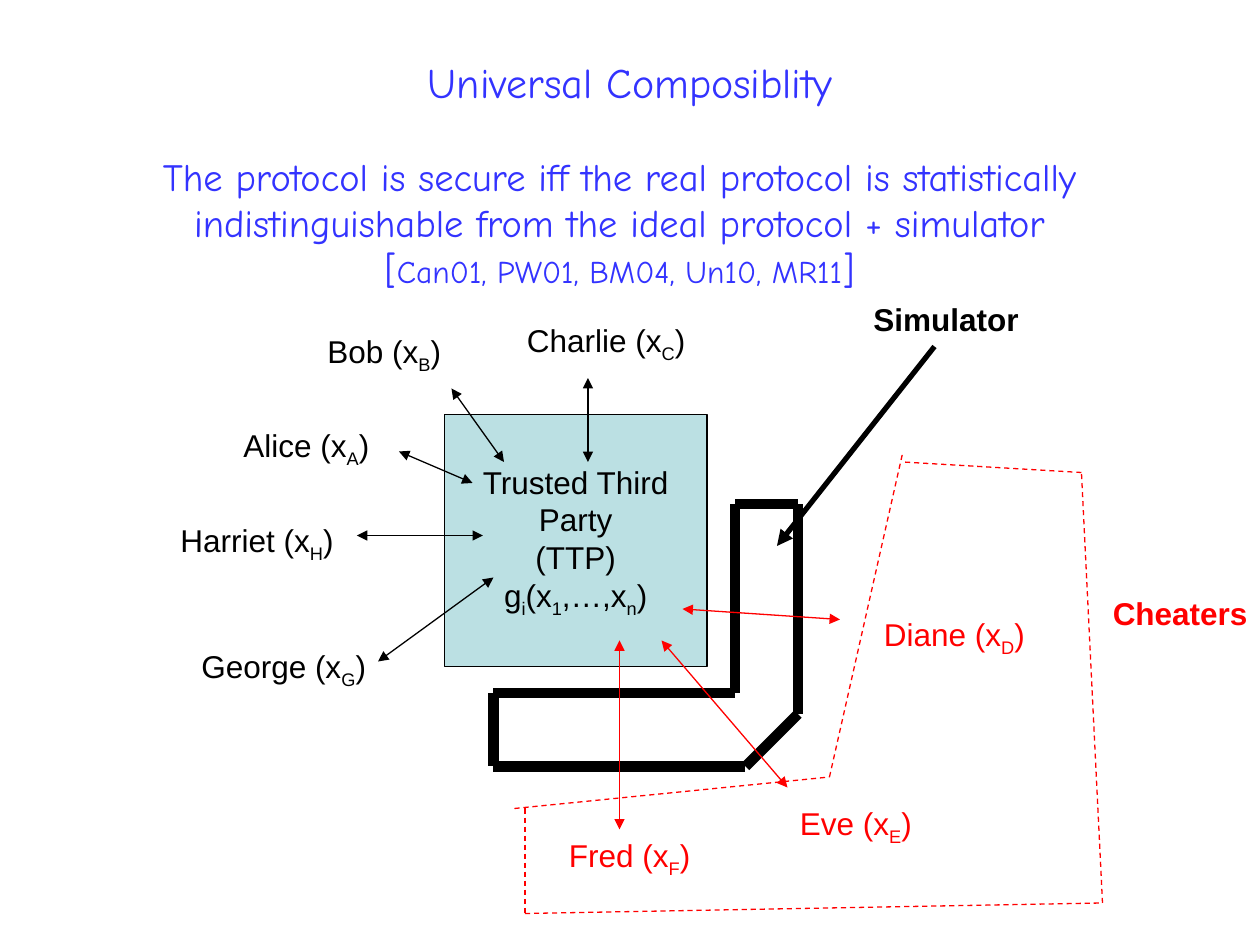
from itertools import pairwise
from pptx import Presentation
from pptx.dml.color import RGBColor
from pptx.enum.dml import MSO_LINE as Dash
from pptx.enum.shapes import MSO_CONNECTOR as Link, MSO_SHAPE as Shape
from pptx.enum.text import MSO_ANCHOR as Anchor, PP_ALIGN as Align
from pptx.oxml.ns import qn
from pptx.util import Cm, Pt
from lxml.etree import SubElement as sub

BLACK = RGBColor(0x00, 0x00, 0x00)
RED = RGBColor(0xFF, 0x00, 0x00)
BLUE = RGBColor(0x33, 0x33, 0xFF)
TEAL = RGBColor(0xBB, 0xE0, 0xE3)
STEP = 2.54 / 12
COMIC = "Comic Neue"

PARTIES = [
    ("Alice (x_A)", (22, 40, 16), BLACK, (38, 43), (45, 46)),
    ("Harriet (x_H)", (16, 49, 19), BLACK, (34, 51), (46, 51)),
    ("Charlie (x_C)", (49, 30, 20), BLACK, (56, 36), (56, 44)),
    ("George (x_G)", (18, 61, 19), BLACK, (36, 63), (47, 55)),
    ("Bob (x_B)", (30, 31, 16), BLACK, (43, 37), (48, 44)),
    ("Fred (x_F)", (53, 79, 16), RED, (59, 79), (59, 61)),
    ("Diane (x_D)", (83, 58, 18), RED, (80, 59), (65, 58)),
    ("Eve (x_E)", (75, 76, 16), RED, (75, 75), (63, 61)),
]
SIM = [(47, 73), (71, 73), (76, 68), (76, 48), (70, 48), (70, 66), (47, 66), (47, 73)]
FENCES = [
    [(50, 77), (50, 87), (105, 86), (103, 45), (86, 44)],
    [(49, 77), (79, 74), (86, 43)],
]


def grid(*nums):
    """Turn steps of a twelfth of an inch into lengths."""
    return [Cm(STEP * num) for num in nums]


def write(para, text, size=18, color=BLACK, font="Arial", bold=False, align=Align.LEFT):
    """Add text to a paragraph, lowering each letter that follows an underscore."""
    para.alignment = align
    head, *rest = text.split("_")
    parts = [(head, False)]
    for part in rest:
        parts += [(part[0], True), (part[1:], False)]
    for part, low in parts:
        run = para.add_run()
        run.text = part
        run.font.size = Pt(size)
        run.font.name = font
        run.font.bold = bold
        run.font.color.rgb = color
        if low:
            run.font._element.set("baseline", "-25000")


def label(slide, place, text, high=5, **form):
    """Add a wrapped text box and return its paragraph."""
    left, top, wide = place
    frame = slide.shapes.add_textbox(*grid(left, top, wide, high)).text_frame
    frame.word_wrap = True
    write(frame.paragraphs[0], text, **form)
    return frame.paragraphs[0]


def stroke(slide, start, end, color=BLACK, width=0.75, dash=None, heads=()):
    """Draw a straight line with optional dashes and arrowheads."""
    wire = slide.shapes.add_connector(Link.STRAIGHT, *grid(*start, *end))
    wire.line.color.rgb = color
    wire.line.width = Pt(width)
    if dash:
        wire.line.dash_style = dash
    for head in heads:
        sub(wire.line._get_or_add_ln(), qn(f"a:{head}"), type="triangle")
    sub(wire._element.spPr, qn("a:effectLst"))


def chain(slide, points, **form):
    """Draw lines from each point to the next."""
    for start, end in pairwise(points):
        stroke(slide, start, end, **form)


def title(slide, text):
    """Place and fill the title."""
    shape = slide.shapes.title
    shape.left, shape.top, shape.width, shape.height = grid(6, 3.6, 108, 8.4)
    shape.text_frame.vertical_anchor = Anchor.MIDDLE
    write(shape.text_frame.paragraphs[0], text, size=24, color=BLUE, font=COMIC, align=Align.CENTER)


def trust(slide, lines):
    """Draw the box of the trusted third party."""
    box = slide.shapes.add_shape(Shape.RECTANGLE, *grid(42.33, 39.5, 25, 24))
    box.shadow.inherit = False
    box.fill.solid()
    box.fill.fore_color.rgb = TEAL
    box.line.color.rgb = BLACK
    box.line.width = Pt(0.75)
    frame = box.text_frame
    frame.word_wrap = False
    frame.vertical_anchor = Anchor.MIDDLE
    for num, text in enumerate(lines):
        para = frame.add_paragraph() if num else frame.paragraphs[0]
        write(para, text, align=Align.CENTER)


def main():
    """Build and save the slide."""
    deck = Presentation()
    deck.slide_width, deck.slide_height = Cm(25.4), Cm(19.05)
    slide = deck.slides.add_slide(deck.slide_layouts[5])
    title(slide, "Universal Composiblity")
    trust(slide, ["Trusted Third", "Party", "(TTP)", "g_i(x_1,…,x_n)"])
    chain(slide, SIM, width=6)
    for text, place, color, start, end in PARTIES:
        label(slide, place, text, color=color)
        stroke(slide, start, end, color=color, heads=("headEnd", "tailEnd"))
    for fence in FENCES:
        chain(slide, fence, color=RED, dash=Dash.DASH)
    label(slide, (102, 56, 18), "Cheaters", color=RED, bold=True, align=Align.RIGHT)
    label(slide, (82, 28, 22), "Simulator", bold=True)
    stroke(slide, (89, 33), (74, 52), width=3, heads=("tailEnd",))
    form = dict(color=BLUE, font=COMIC, align=Align.CENTER)
    claim = (
        "The protocol is secure iff the real protocol is statistically "
        "indistinguishable from the ideal protocol + simulator ["
    )
    para = label(slide, (13, 14, 92), claim, high=14.4, size=22, **form)
    write(para, "Can01, PW01, BM04, Un10, MR11", size=18, **form)
    write(para, "]", size=22, **form)
    deck.save("out.pptx")


if __name__ == "__main__":
    main()
